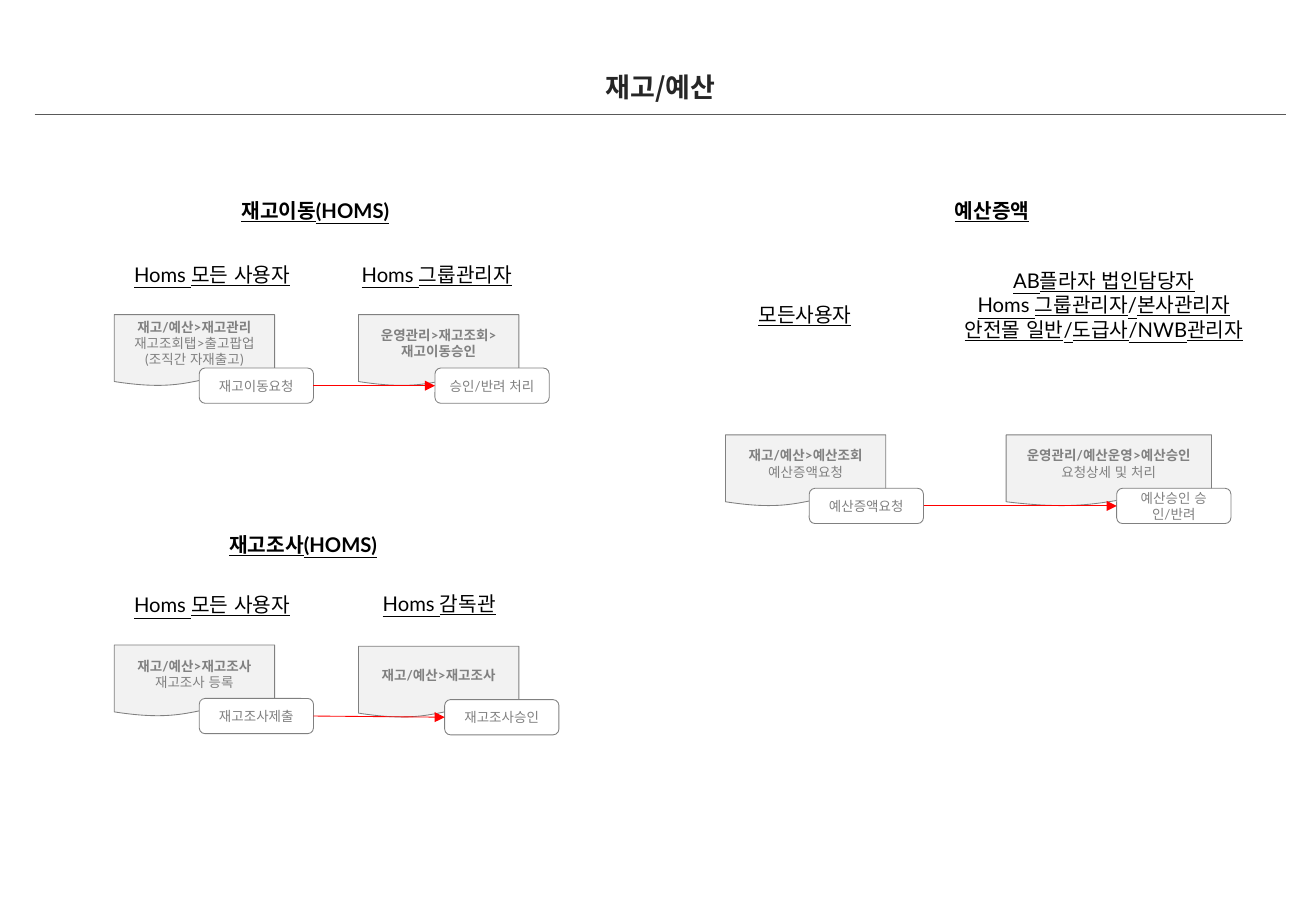
import pptx
import pptx.util
import pptx.dml.color
import pptx.enum.dml
import pptx.enum.lang
import pptx.enum.shapes
import pptx.enum.text
import pptx.oxml
import pptx.oxml.ns

PX = 9144
BLACK = pptx.dml.color.RGBColor(0x00, 0x00, 0x00)
DARK = pptx.dml.color.RGBColor(0x26, 0x26, 0x26)
GRAY = pptx.dml.color.RGBColor(0x80, 0x80, 0x80)
PALE = pptx.dml.color.RGBColor(0xF2, 0xF2, 0xF2)
WHITE = pptx.dml.color.RGBColor(0xFF, 0xFF, 0xFF)
RED = pptx.dml.color.RGBColor(0xFF, 0x00, 0x00)
NS = pptx.oxml.ns.nsdecls("a")
SHAPE = pptx.enum.shapes.MSO_SHAPE
MIDDLE = pptx.enum.text.MSO_ANCHOR.MIDDLE
ASIAN = "Noto Sans CJK KR"


def write(para, text, size, color, bold=False, under=False, face="Lato"):
    para.alignment = pptx.enum.text.PP_ALIGN.CENTER
    run = para.add_run()
    run.text = text
    font = run.font
    font.size = pptx.util.Pt(size)
    font.bold = bold
    font.underline = under
    font.color.rgb = color
    font.name = face
    font.language_id = pptx.enum.lang.MSO_LANGUAGE_ID.KOREAN
    latin = font._element.find(pptx.oxml.ns.qn("a:latin"))
    latin.addnext(pptx.oxml.parse_xml(f'<a:ea {NS} typeface="{ASIAN}"/>'))


def block(kind, left, top, width, height, fill, head, body):
    shape = slide.shapes.add_shape(kind, left * PX, top * PX, width * PX, height * PX)
    shape.shadow.inherit = False
    shape.fill.solid()
    shape.fill.fore_color.rgb = fill
    shape.line.color.rgb = GRAY
    shape.line.width = pptx.util.Pt(0.5)
    frame = shape.text_frame
    frame.word_wrap = True
    frame.vertical_anchor = MIDDLE
    para = frame.paragraphs[0]
    if head:
        write(para, head, 8, GRAY, bold=True)
    if head and body:
        para.add_line_break()
    if body:
        write(para, body, 8, GRAY)
    return shape


deck = pptx.Presentation()
deck.slide_width = 1083 * PX
deck.slide_height = 750 * PX
slide = deck.slides.add_slide(deck.slide_layouts[6])

table = slide.shapes.add_table(2, 1, 29 * PX, 48 * PX, 1029 * PX, 84 * PX).table
table.first_row = False
table.horz_banding = False
for row, (height, side) in enumerate([(46, "lnB"), (38, "lnT")]):
    table.rows[row].height = height * PX
    cell = table.cell(row, 0)
    cell.fill.background()
    cell.vertical_anchor = MIDDLE
    cell.margin_left = cell.margin_right = 7 * PX
    cell.margin_top = cell.margin_bottom = 7 * PX
    rule = pptx.oxml.parse_xml(
        f'<a:{side} {NS} w="3175"><a:solidFill><a:srgbClr val="595959"/>'
        f'</a:solidFill></a:{side}>')
    cell._tc.get_or_add_tcPr().insert(0, rule)
write(table.cell(0, 0).text_frame.paragraphs[0], "재고/예산", 16, DARK, bold=True, face=ASIAN)
table.cell(1, 0).text_frame.paragraphs[0].font.size = pptx.util.Pt(10)

labels = [
    (160, 158, 199, 30, True, ["재고이동(HOMS)"]),
    (75, 211, 199, 30, False, ["Homs 모든 사용자"]),
    (260, 211, 199, 30, False, ["Homs 그룹관리자"]),
    (150, 433, 199, 30, True, ["재고조사(HOMS)"]),
    (75, 483, 199, 30, False, ["Homs 모든 사용자"]),
    (262, 482, 199, 30, False, ["Homs 감독관"]),
    (717, 158, 199, 30, True, ["예산증액"]),
    (566, 244, 193, 30, False, ["모든사용자"]),
    (775, 216, 267, 71, False, ["AB플라자 법인담당자", "Homs 그룹관리자/본사관리자",
                                "안전몰 일반/도급사/NWB관리자"]),
]
for left, top, width, height, bold, lines in labels:
    box = slide.shapes.add_textbox(left * PX, top * PX, width * PX, height * PX)
    frame = box.text_frame
    frame.word_wrap = True
    frame.auto_size = pptx.enum.text.MSO_AUTO_SIZE.SHAPE_TO_FIT_TEXT
    for spot, line in enumerate(lines):
        para = frame.add_paragraph() if spot else frame.paragraphs[0]
        write(para, line, 12, BLACK, bold=bold, under=True)

flows = [
    [(94, 259, 132, "재고/예산>재고관리", "재고조회탭>출고팝업(조직간 자재출고)", 164, "재고이동요청"),
     (295, 259, 132, "운영관리>재고조회>재고이동승인", "", 358, "승인/반려 처리")],
    [(94, 531, 132, "재고/예산>재고조사", "재고조사 등록", 164, "재고조사제출"),
     (295, 532, 132, "재고/예산>재고조사", "", 366, "재고조사승인")],
    [(597, 358, 132, "재고/예산>예산조회", "예산증액요청", 666, "예산증액요청"),
     (828, 358, 169, "운영관리/예산운영>예산승인", "요청상세 및 처리", 919, "예산승인 승인/반려")],
]
for flow in flows:
    steps = []
    for left, top, width, head, body, inset, step in flow:
        block(SHAPE.FLOWCHART_DOCUMENT, left, top, width, 59, PALE, head, body)
        steps.append(block(SHAPE.ROUNDED_RECTANGLE, inset, top + 44, 94, 29, WHITE, "", step))
    arrow = slide.shapes.add_connector(pptx.enum.shapes.MSO_CONNECTOR.STRAIGHT, 0, 0, 0, 0)
    arrow.begin_connect(steps[0], 3)
    arrow.end_connect(steps[1], 1)
    arrow.line.color.rgb = RED
    arrow.line.width = pptx.util.Pt(0.5)
    arrow.line._get_or_add_ln().append(pptx.oxml.parse_xml(f'<a:tailEnd {NS} type="triangle"/>'))
    arrow._element.spPr.append(pptx.oxml.parse_xml(f'<a:effectLst {NS}/>'))

deck.save("out.pptx")
